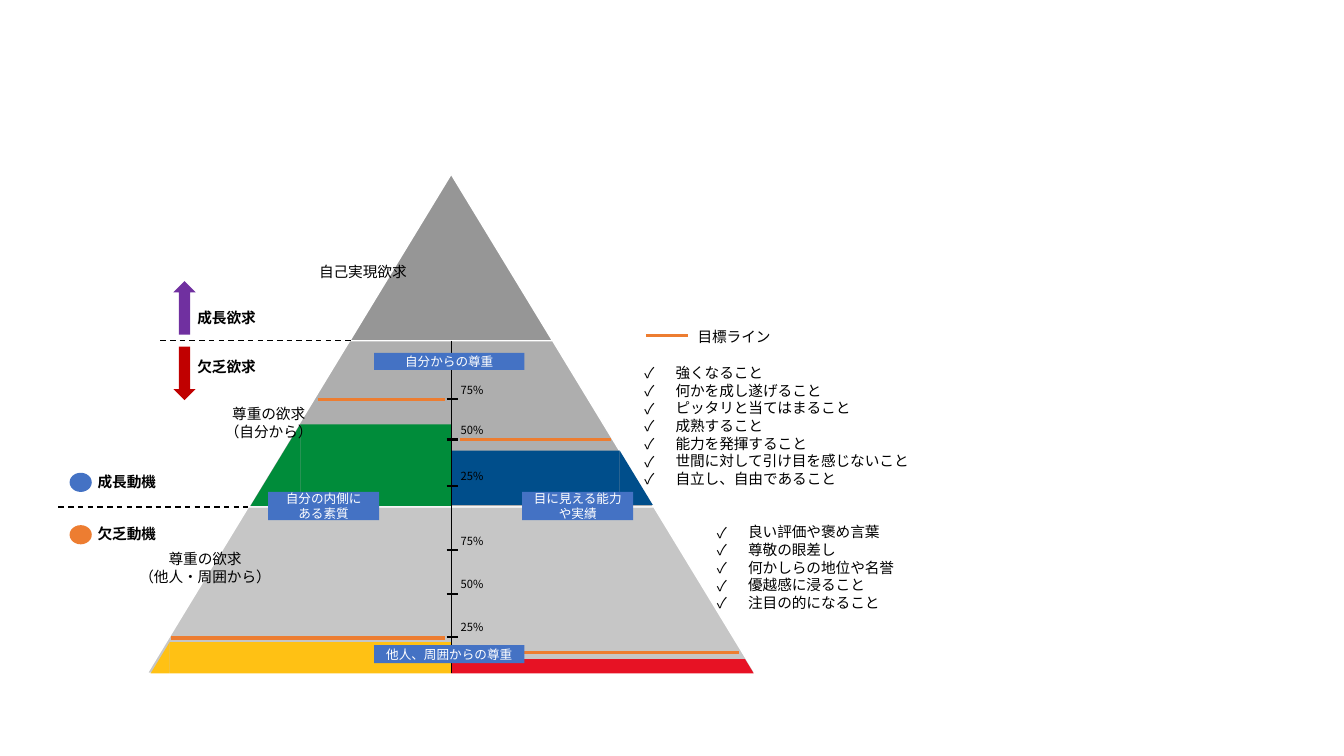
from lxml.etree import SubElement
from pptx import Presentation
from pptx.dml.color import RGBColor
from pptx.enum.dml import MSO_LINE
from pptx.enum.shapes import MSO_CONNECTOR, MSO_SHAPE
from pptx.enum.text import MSO_ANCHOR, MSO_AUTO_SIZE, PP_ALIGN
from pptx.oxml.ns import qn
from pptx.util import Inches, Pt

FONT = "Noto Sans CJK JP"
BLACK, WHITE, BLUE, ORANGE = "000000", "FFFFFF", "4472C4", "ED7D31"


def color(code):
    return RGBColor.from_string(code)


def style(frame, size, code=BLACK, bold=False, align=PP_ALIGN.LEFT):
    for para in frame.paragraphs:
        para.alignment = align
        for run in para.runs:
            run.font.size = Pt(size)
            run.font.bold = bold
            run.font.name = FONT
            run.font.color.rgb = color(code)
            SubElement(run._r.get_or_add_rPr(), qn("a:ea")).set("typeface", FONT)


def block(slide, kind, x, y, w, h, fill, edge=None):
    shape = slide.shapes.add_shape(kind, Inches(x), Inches(y), Inches(w), Inches(h))
    shape.shadow.inherit = False
    shape.fill.solid()
    shape.fill.fore_color.rgb = color(fill)
    if edge:
        shape.line.color.rgb = color(edge)
        shape.line.width = Pt(1)
    else:
        shape.line.fill.background()
    return shape


def rule(slide, x1, y1, x2, y2, code, width, dash=False):
    line = slide.shapes.add_connector(
        MSO_CONNECTOR.STRAIGHT, Inches(x1), Inches(y1), Inches(x2), Inches(y2))
    line.line.color.rgb = color(code)
    line.line.width = Pt(width)
    if dash:
        line.line.dash_style = MSO_LINE.DASH
    SubElement(line._element.spPr, qn("a:effectLst"))


def label(slide, x, y, w, h, text, size=10.5, bold=False, align=PP_ALIGN.LEFT):
    box = slide.shapes.add_textbox(Inches(x), Inches(y), Inches(w), Inches(h))
    box.text_frame.word_wrap = True
    box.text_frame.text = text
    style(box.text_frame, size, bold=bold, align=align)


def pyramid(slide, x, y, w, h):
    # Three tiers, widening by a third each
    step = h / 3
    for i, fill in enumerate(["969696", "AEAEAE", "C6C6C6"]):
        wide = w * (i + 1) / 3
        tier = block(slide, MSO_SHAPE.TRAPEZOID, x + (w - wide) / 2, y + i * step,
                     wide, step, fill, WHITE)
        tier.adjustments[0] = 0.608

    # Levels: side, half width at the base, top, bottom, fill
    mid, slope = x + w / 2, w / 2 / h
    for side, half, top, base, fill in [
            (-1, 1.99, 2.48, 3.29, "008C3A"), (1, 2, 2.74, 3.28, "004E8B"),
            (-1, 2.98, 4.64, 4.95, "FFC114"), (1, 3, 4.81, 4.95, "E71224")]:
        tall = base - top
        cut = tall * slope
        flat = half - cut
        tip = mid + flat if side > 0 else mid - half
        wedge = block(slide, MSO_SHAPE.RIGHT_TRIANGLE, tip, y + top, cut, tall, fill)
        if side < 0:
            wedge._element.spPr.xfrm.set("flipH", "1")
        left = mid if side > 0 else mid - flat
        block(slide, MSO_SHAPE.RECTANGLE, left, y + top, flat, tall, fill)
    rule(slide, mid, y + step, mid, y + h, BLACK, 0.5)


def goals(slide, mid, top):
    # Target lines: start, end, height
    for start, end, drop in [(-1.33, -0.07, 2.23), (0.08, 1.58, 2.63),
                             (-2.78, -0.07, 4.6), (0, 2.85, 4.74)]:
        rule(slide, mid + start, top + drop, mid + end, top + drop, ORANGE, 2.25)


def scale(slide, mid, marks):
    for y, text in zip(marks, ["75%", "50%", "25%"]):
        rule(slide, mid - 0.05, y, mid + 0.06, y, BLACK, 1.5)
        label(slide, mid - 0.01, y - 0.21, 0.52, 0.24, text, 8)


def tags(slide, mid, top):
    # Blue tags: offset from the axis, drop, size, text
    for dx, drop, w, h, text in [
            (-0.77, 1.77, 1.49, 0.17, "自分からの尊重"),
            (-1.82, 3.15, 1.1, 0.28, "自分の内側に\nある素質"),
            (0.7, 3.15, 1.1, 0.28, "目に見える能力や実績"),
            (-0.77, 4.67, 1.49, 0.18, "他人、周囲からの尊重")]:
        tag = block(slide, MSO_SHAPE.RECTANGLE, mid + dx, top + drop, w, h, BLUE)
        tag.text_frame.text = text
        tag.text_frame.vertical_anchor = MSO_ANCHOR.MIDDLE
        style(tag.text_frame, 9, WHITE, align=PP_ALIGN.CENTER)


def needs(slide, x, y):
    # Names of the tiers
    for dx, dy, w, h, text in [
            (1.7, 0, 1.26, 0.28, "自己実現欲求"),
            (0.8, 1.41, 1.19, 0.45, "尊重の欲求\n（自分から）"),
            (0, 2.85, 1.53, 0.45, "尊重の欲求\n（他人・周囲から）")]:
        label(slide, x + dx, y + dy, w, h, text, align=PP_ALIGN.CENTER)


def desires(slide, x, y):
    # Arrows above and below the upper divider
    rule(slide, x, y, x + 1.89, y, BLACK, 1, True)
    for kind, dy, drop, fill, text in [
            (MSO_SHAPE.UP_ARROW, -0.59, -0.37, "7030A0", "成長欲求"),
            (MSO_SHAPE.DOWN_ARROW, 0.06, 0.12, "C00000", "欠乏欲求")]:
        block(slide, kind, x + 0.13, y + dy, 0.22, 0.53, fill)
        label(slide, x + 0.27, y + drop, 0.94, 0.29, text, bold=True)


def motives(slide, x, y):
    # Dots above and below the lower divider
    rule(slide, x, y, x + 1.88, y, BLACK, 1, True)
    for dy, fill, text in [(-0.34, BLUE, "成長動機"), (0.18, ORANGE, "欠乏動機")]:
        block(slide, MSO_SHAPE.OVAL, x + 0.11, y + dy, 0.22, 0.19, fill)
        label(slide, x + 0.29, y + dy - 0.05, 0.94, 0.29, text, bold=True)


def legend(slide, x, y):
    rule(slide, x, y, x + 0.41, y, ORANGE, 2.25)
    label(slide, x + 0.41, y - 0.13, 1, 0.29, "目標ライン")


def checks(body, x, y, w, h, items):
    body.left, body.top, body.width, body.height = map(Inches, (x, y, w, h))
    frame = body.text_frame
    frame.text = "\n".join(items)
    frame.word_wrap = True
    frame.auto_size = MSO_AUTO_SIZE.NONE
    frame.vertical_anchor = MSO_ANCHOR.TOP
    style(frame, 10.5)
    for para in frame.paragraphs:
        para.space_before = Pt(0)
        props = para._p.get_or_add_pPr()
        props.set("marL", str(Inches(0.31)))
        props.set("indent", str(-Inches(0.31)))
        SubElement(props, qn("a:buFont")).set("typeface", FONT)
        SubElement(props, qn("a:buChar")).set("char", "✓")


def main():
    deck = Presentation()
    deck.slide_width, deck.slide_height = Inches(13.33), Inches(7.5)
    slide = deck.slides.add_slide(deck.slide_layouts[3])
    title = slide.shapes.title._element
    title.getparent().remove(title)

    mid, top = 4.48, 1.73
    pyramid(slide, 1.46, top, 6.03, 4.95)
    goals(slide, mid, top)
    scale(slide, mid, [3.96, 4.36, 4.82])
    scale(slide, mid, [5.46, 5.89, 6.32])
    tags(slide, mid, top)
    needs(slide, 1.27, 2.56)
    desires(slide, 1.59, 3.38)
    motives(slide, 0.58, 5.03)
    legend(slide, 6.41, 3.33)

    # Examples beside the two lower tiers
    inner, outer = slide.placeholders[1], slide.placeholders[2]
    checks(inner, 6.29, 3.56, 2.91, 1.34, [
        "強くなること", "何かを成し遂げること", "ピッタリと当てはまること", "成熟すること",
        "能力を発揮すること", "世間に対して引け目を感じないこと", "自立し、自由であること"])
    checks(outer, 7.01, 5.14, 2.03, 0.98, [
        "良い評価や褒め言葉", "尊敬の眼差し", "何かしらの地位や名誉",
        "優越感に浸ること", "注目の的になること"])
    deck.save("out.pptx")


if __name__ == "__main__":
    main()
